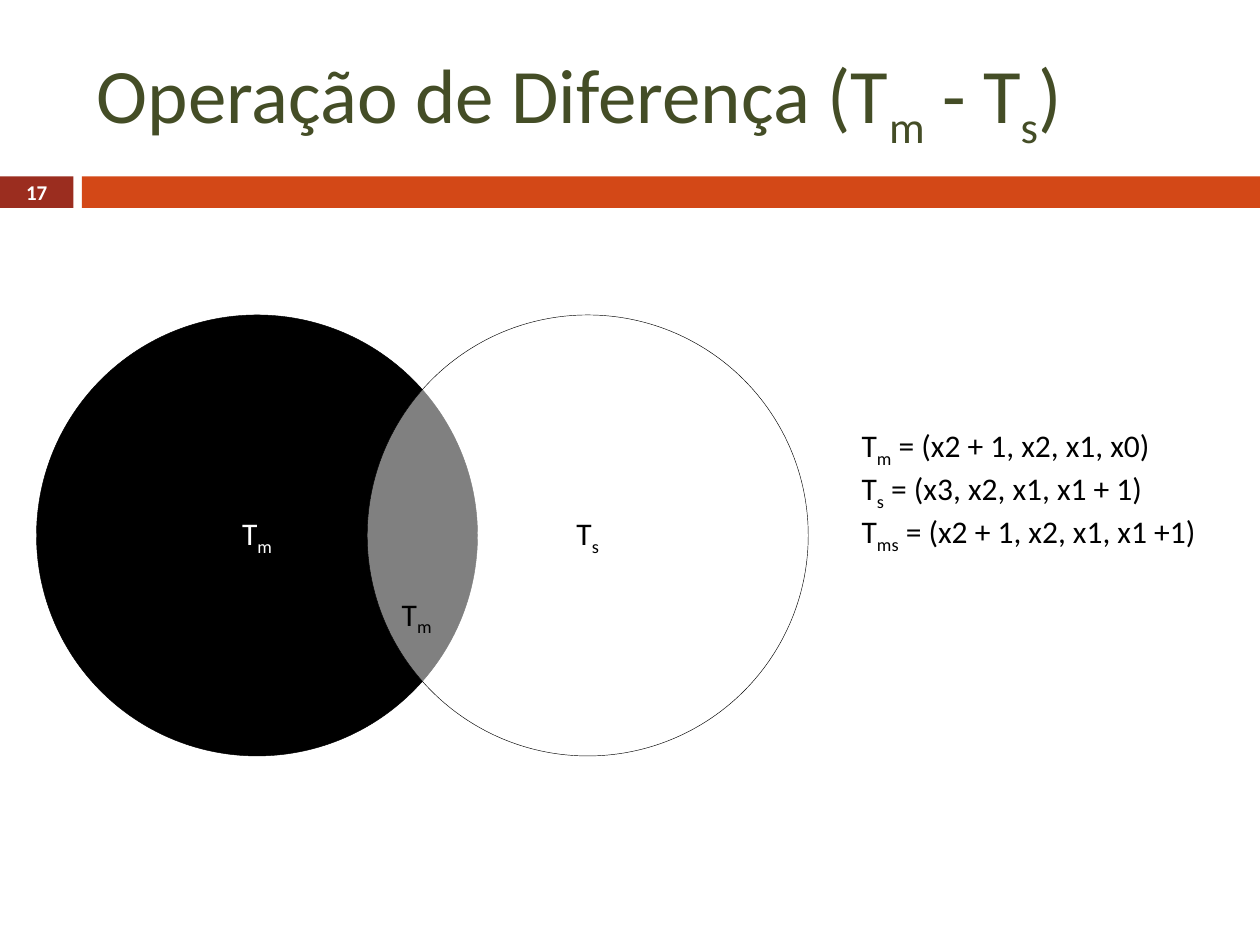
from dataclasses import dataclass
from lxml import etree
from pptx import Presentation
from pptx.dml.color import RGBColor
from pptx.enum import shapes, text
from pptx.oxml.ns import qn
from pptx.util import Inches, Pt

COLS, ROWS = 40, 30
WIDE, HIGH = Inches(10), Inches(7.5)


@dataclass(frozen=True)
class Theme:
    font: str = "Calibri"
    title: str = "444D26"
    badge: str = "9B2D1F"
    band: str = "D34817"
    dark: str = "000000"
    light: str = "FFFFFF"
    head: float = 44
    body: float = 18
    small: float = 12
    hair: float = 0.25


look = Theme()


def place(box):
    x, y, w, h = box
    return (round(x * WIDE / COLS), round(y * HIGH / ROWS),
            round(w * WIDE / COLS), round(h * HIGH / ROWS))


def write(shape, lines, size=look.body, color=look.dark, bold=False,
          align=text.PP_ALIGN.LEFT, anchor=text.MSO_ANCHOR.MIDDLE,
          wrap=True, grow=False):
    frame = shape.text_frame
    frame.word_wrap = wrap
    frame.vertical_anchor = anchor
    if grow:
        frame.auto_size = text.MSO_AUTO_SIZE.SHAPE_TO_FIT_TEXT
    for row, line in enumerate(lines):
        para = frame.add_paragraph() if row else frame.paragraphs[0]
        para.alignment = align
        for part, words in enumerate(line.split("_")):
            if not words:
                continue
            run = para.add_run()
            run.text = words
            font = run.font
            font.name, font.size, font.bold = look.font, Pt(size), bold
            font.color.rgb = RGBColor.from_string(color)
            if part % 2:
                run._r.get_or_add_rPr().set("baseline", "-25000")


def draw(slide, kind, box, fill, line=None, alpha=None):
    shape = slide.shapes.add_shape(kind, *place(box))
    shape.shadow.inherit = False
    shape.fill.solid()
    shape.fill.fore_color.rgb = RGBColor.from_string(fill)
    if alpha is not None:
        tint = shape._element.spPr.find(qn("a:solidFill"))[0]
        etree.SubElement(tint, qn("a:alpha")).set("val", str(alpha * 1000))
    if line:
        shape.line.color.rgb = RGBColor.from_string(line)
        shape.line.width = Pt(look.hair)
    else:
        shape.line.fill.background()
    return shape


def label(slide, box, lines, **style):
    write(slide.shapes.add_textbox(*place(box)), lines, **style)


def header(slide, box):
    x, y, w, h = box
    bar, split, gap = 1, 2.33, 0.27
    top = y + h - bar
    rect = shapes.MSO_SHAPE.RECTANGLE
    badge = draw(slide, rect, (x, top, split, bar), look.badge)
    frame = badge.text_frame
    frame.margin_top = frame.margin_bottom = 0
    write(badge, ["17"], size=look.small, color=look.light, bold=True,
          align=text.PP_ALIGN.CENTER)
    start = split + gap
    draw(slide, rect, (x + start, top, w - start, bar), look.band)
    label(slide, (x + start + 0.08, y + 1, 35.68, 4.32),
          ["Operação de Diferença (T_m_ - T_s_)"],
          size=look.head, color=look.title)


def venn(slide, box):
    x, y, w, h = box
    sets = [("T_m_", look.dark, look.light, None),
            ("T_s_", look.light, look.dark, 50)]
    for step, (name, fill, ink, alpha) in enumerate(sets):
        disc = draw(slide, shapes.MSO_SHAPE.OVAL,
                    (x + step * (w - h), y, h, h), fill, look.dark, alpha)
        write(disc, [name], color=ink, align=text.PP_ALIGN.CENTER)
    label(slide, (x + 0.8 * h, y + 0.62 * h, 1.88, 1.6), ["T_ms_"],
          anchor=text.MSO_ANCHOR.TOP, wrap=False, grow=True)


def legend(slide, box):
    label(slide, box,
          ["T_m_ = (x2 + 1, x2, x1, x0)",
           "T_s_ = (x3, x2, x1, x1 + 1)",
           "T_ms_ = (x2 + 1, x2, x1, x1 +1)"],
          anchor=text.MSO_ANCHOR.TOP, wrap=False, grow=True)


def main():
    deck = Presentation()
    deck.slide_width, deck.slide_height = WIDE, HIGH
    slide = deck.slides.add_slide(deck.slide_layouts[6])
    header(slide, (0, 0, COLS, 6.6))
    venn(slide, (1.16, 10, 24.5, 14))
    legend(slide, (26.96, 13.32, 13.04, 5.24))
    deck.save("out.pptx")


if __name__ == "__main__":
    main()
